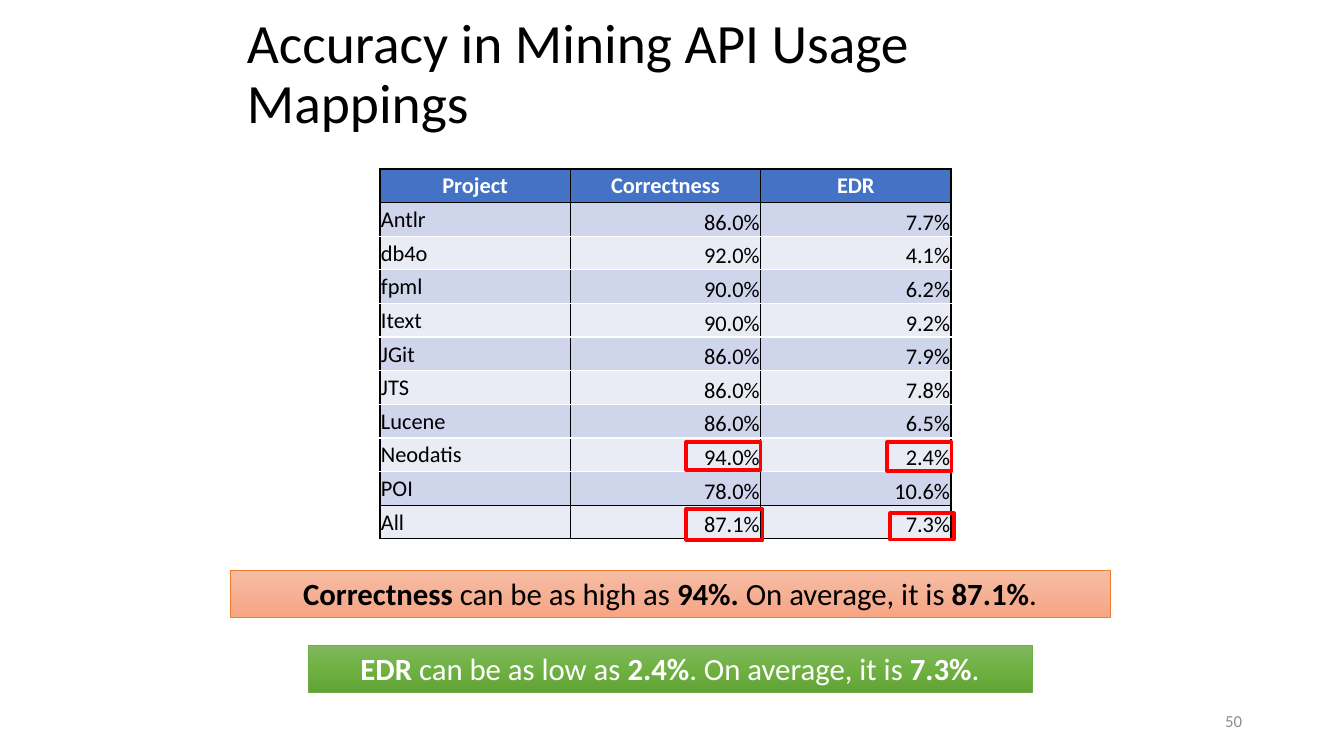
from copy import deepcopy

from lxml.etree import SubElement
from pptx import Presentation
from pptx.dml.color import RGBColor
from pptx.enum.shapes import MSO_SHAPE as Shape
from pptx.enum.text import MSO_ANCHOR as Anchor, PP_ALIGN as Align
from pptx.oxml import parse_xml
from pptx.oxml.ns import nsdecls, qn
from pptx.util import Emu, Pt

PX_PER_INCH = 100.8
BLACK, WHITE, RED, GREY = "000000", "FFFFFF", "FF0000", "8C8C8C"
HEADER_FILL, BAND_FILLS = "4472C4", ("E9EBF5", "CFD5EA")

ROWS = [
    ("Project", "Correctness", "EDR"),
    ("Antlr", "86.0%", "7.7%"),
    ("db4o", "92.0%", "4.1%"),
    ("fpml", "90.0%", "6.2%"),
    ("Itext", "90.0%", "9.2%"),
    ("JGit", "86.0%", "7.9%"),
    ("JTS", "86.0%", "7.8%"),
    ("Lucene", "86.0%", "6.5%"),
    ("Neodatis", "94.0%", "2.4%"),
    ("POI", "78.0%", "10.6%"),
    ("All", "87.1%", "7.3%"),
]

# Each banner: box, line colour, text colour, gradient, alternating bold and plain text
BANNERS = [
    ((230, 570, 880, 47), "ED7D31", BLACK, ("F7BDA5", "F5B196", "F8A582"),
     ("Correctness ", "can be as high as ", "94%. ", "On average, it is ", "87.1%", ".")),
    ((308, 645, 724, 47), "70AD47", WHITE, ("81B861", "6FB242", "62A336"),
     ("EDR", " can be as low as ", "2.4%", ". On average, it is ", "7.3%", ".")),
]

HIGHLIGHTS = [(686, 442, 75, 28), (887, 442, 65, 29), (890, 513, 64, 27), (686, 509, 77, 31)]


def px(length):
    return Emu(round(length * 914400 / PX_PER_INCH))


def color(hex_value):
    return RGBColor.from_string(hex_value)


def apply(target, formats):
    for name, value in formats.items():
        setattr(target, name, value)


def add_run(paragraph, text, size, hex_value, bold=False):
    run = paragraph.add_run()
    run.text = text
    apply(run.font, {"name": "Calibri", "size": Pt(size), "bold": bold})
    run.font.color.rgb = color(hex_value)


def add_text(slide, box, text, size, hex_value, align=Align.LEFT, spacing=1.0):
    frame = slide.shapes.add_textbox(*map(px, box)).text_frame
    apply(frame, {"word_wrap": True, "vertical_anchor": Anchor.MIDDLE})
    paragraph = frame.paragraphs[0]
    apply(paragraph, {"alignment": align, "line_spacing": spacing})
    add_run(paragraph, text, size, hex_value)


def add_box(slide, box, line_color, line_width):
    shape = slide.shapes.add_shape(Shape.RECTANGLE, *map(px, box))
    shape.shadow.inherit = False
    shape.line.color.rgb = color(line_color)
    shape.line.width = Pt(line_width)
    return shape


def fill_gradient(fill, colors):
    fill.gradient()
    fill.gradient_angle = 270  # top to bottom
    first = fill._fill._gradFill.gsLst[0]
    first.addnext(deepcopy(first))
    for index, (stop, hex_value) in enumerate(zip(fill.gradient_stops, colors)):
        stop.color.rgb = color(hex_value)
        stop.position = index / (len(colors) - 1)


def add_banner(slide, box, line_color, text_color, gradient, parts):
    shape = add_box(slide, box, line_color, 0.5)
    fill_gradient(shape.fill, gradient)
    paragraph = shape.text_frame.paragraphs[0]
    paragraph.alignment = Align.CENTER
    for index, part in enumerate(parts):
        add_run(paragraph, part, 22, text_color, bold=index % 2 == 0)


def set_borders(cell, top, bottom):
    properties = cell._tc.get_or_add_tcPr()
    sides = {"lnL": BLACK, "lnR": BLACK, "lnT": top, "lnB": bottom}
    for index, (side, hex_value) in enumerate(sides.items()):
        line = parse_xml(f'<a:{side} {nsdecls("a")} w="{Pt(1)}"/>')
        fill = SubElement(line, qn("a:solidFill"))
        SubElement(fill, qn("a:srgbClr"), val=hex_value)
        properties.insert(index, line)


def add_results_table(slide, box):
    left, top, width, height = map(px, box)
    table = slide.shapes.add_table(len(ROWS), len(ROWS[0]), left, top, width, height).table
    apply(table, {"first_row": False, "horz_banding": False})
    last = len(ROWS) - 1
    ruled = {0, 1, last, last + 1}  # horizontal edges drawn in black
    for row, values in enumerate(ROWS):
        header = row == 0
        for column, value in enumerate(values):
            cell = table.cell(row, column)
            number = column > 0 and not header
            apply(cell, {
                "margin_left": px(1), "margin_right": px(1),
                "margin_top": px(1), "margin_bottom": 0,
                "vertical_anchor": Anchor.BOTTOM if number else Anchor.MIDDLE,
            })
            cell.fill.solid()
            cell.fill.fore_color.rgb = color(HEADER_FILL if header else BAND_FILLS[row % 2])
            set_borders(cell, *(BLACK if edge in ruled else WHITE for edge in (row, row + 1)))
            paragraph = cell.text_frame.paragraphs[0]
            paragraph.alignment = Align.CENTER if header else Align.RIGHT if number else Align.LEFT
            add_run(paragraph, value, 16, WHITE if header else BLACK, bold=header)


def main():
    presentation = Presentation()
    apply(presentation, {"slide_width": px(1344), "slide_height": px(756)})
    slide = presentation.slides.add_slide(presentation.slide_layouts[6])

    # Title and slide number
    add_text(slide, (237, 31, 879, 89), "Accuracy in Mining API Usage Mappings",
             39.6, BLACK, spacing=0.9)
    add_text(slide, (950, 701, 302, 40), "50", 12, GREY, Align.RIGHT)

    # Results
    add_results_table(slide, (380, 169, 571, 370))

    # Conclusions
    for banner in BANNERS:
        add_banner(slide, *banner)

    # Frames around the best and average values
    for box in HIGHLIGHTS:
        add_box(slide, box, RED, 2.25).fill.background()

    presentation.save("out.pptx")


if __name__ == "__main__":
    main()
